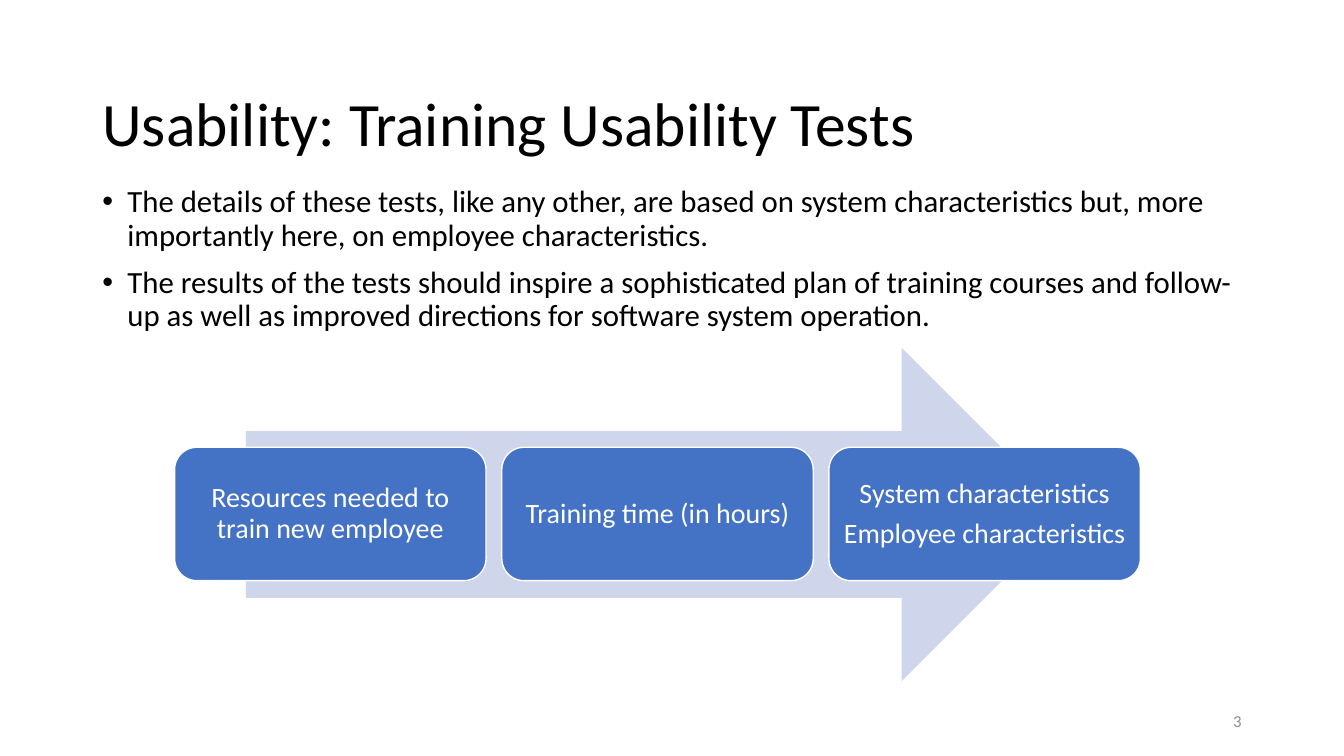
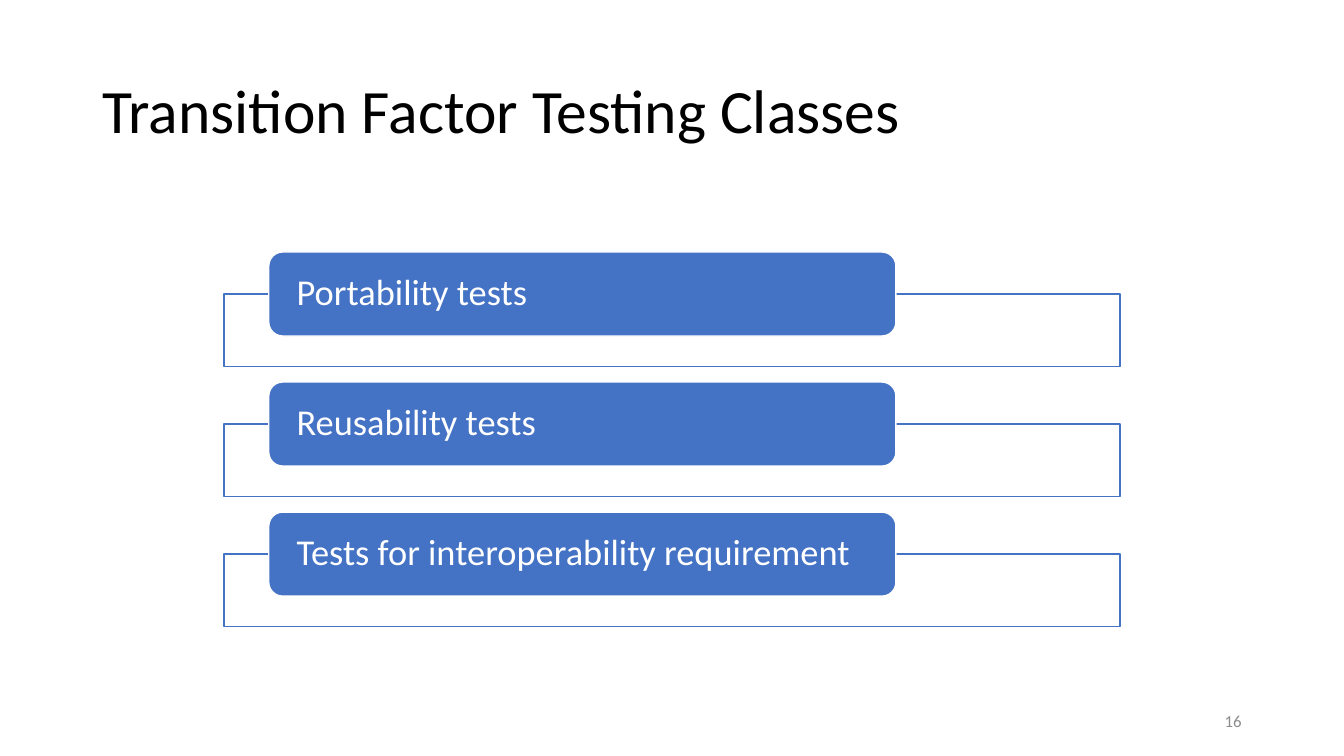
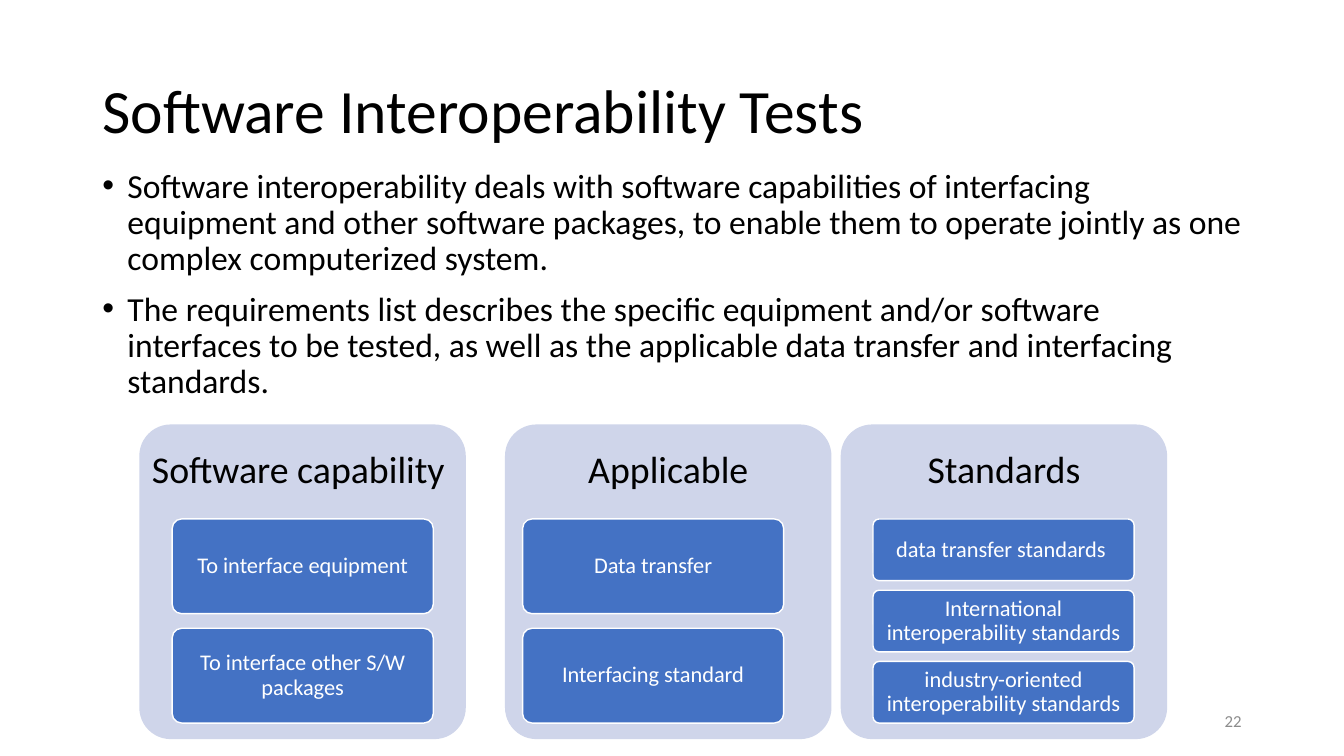
from dataclasses import dataclass

from lxml.etree import SubElement
from pptx import Presentation
from pptx.dml.color import RGBColor
from pptx.enum.shapes import MSO_SHAPE
from pptx.enum.text import MSO_ANCHOR, MSO_AUTO_SIZE, PP_ALIGN
from pptx.oxml.ns import qn
from pptx.util import Pt

# Shared look
BLACK = RGBColor(0x00, 0x00, 0x00)
WHITE = RGBColor(0xFF, 0xFF, 0xFF)
GRAY = RGBColor(0x8C, 0x8C, 0x8C)
BLUE = RGBColor(0x44, 0x72, 0xC4)
PALE_BLUE = RGBColor(0xCF, 0xD5, 0xEA)
FONT = "Calibri"
LEFT, WIDTH = 66, 828
INDENT = 18


@dataclass(frozen=True)
class Area:
    left: float
    top: float
    width: float
    height: float

    def place(self) -> tuple:
        return Pt(self.left), Pt(self.top), Pt(self.width), Pt(self.height)


@dataclass(frozen=True)
class TextStyle:
    size: float
    color: RGBColor = WHITE
    align: PP_ALIGN = PP_ALIGN.CENTER
    anchor: MSO_ANCHOR = MSO_ANCHOR.MIDDLE
    side_inset: float = 7.2
    end_inset: float = 3.6
    gap: float = 0
    line_spacing: float = 0.9
    bullet: bool = False


@dataclass(frozen=True)
class Column:
    heading: str
    left: float
    cards: tuple[str, ...]


TITLE = TextStyle(44, BLACK, PP_ALIGN.LEFT)
NUMBER = TextStyle(12, GRAY, PP_ALIGN.RIGHT, line_spacing=1.0)
STEP = TextStyle(20, side_inset=6, end_inset=6, gap=7)
LABEL = TextStyle(26, align=PP_ALIGN.LEFT, side_inset=17, end_inset=0)
HEADING = TextStyle(27, BLACK, anchor=MSO_ANCHOR.TOP, side_inset=1.5, end_inset=12.5)
CARD = TextStyle(16, side_inset=2.9, end_inset=2.2)

TITLE_AREA = Area(LEFT, 28.75, WIDTH, 104.4)
NUMBER_AREA = Area(678, 500.5, 216, 28.75)


def set_all(target, values: dict) -> None:
    for name, value in values.items():
        setattr(target, name, value)


def add_bullet(para) -> None:
    properties = para._p.get_or_add_pPr()
    properties.set("marL", str(Pt(INDENT)))
    properties.set("indent", str(-Pt(INDENT)))
    SubElement(properties, qn("a:buFont")).set("typeface", "Arial")
    SubElement(properties, qn("a:buChar")).set("char", "•")


def write(frame, lines: tuple[str, ...], style: TextStyle) -> None:
    set_all(frame, {
        "word_wrap": True,
        "auto_size": MSO_AUTO_SIZE.NONE,
        "vertical_anchor": style.anchor,
        "margin_left": Pt(style.side_inset),
        "margin_right": Pt(style.side_inset),
        "margin_top": Pt(style.end_inset),
        "margin_bottom": Pt(style.end_inset),
    })
    for index, line in enumerate(lines):
        para = frame.add_paragraph() if index else frame.paragraphs[0]
        if style.bullet:
            add_bullet(para)
        set_all(para, {
            "alignment": style.align,
            "line_spacing": style.line_spacing,
            "space_before": Pt(style.gap if index else 0),
        })
        span = para.add_run()
        span.text = line
        set_all(span.font, {"name": FONT, "size": Pt(style.size)})
        span.font.color.rgb = style.color


def add_text(page, area: Area, lines: tuple[str, ...], style: TextStyle) -> None:
    write(page.shapes.add_textbox(*area.place()).text_frame, lines, style)


def add_bullets(page, area: Area, lines: tuple[str, ...], size: float) -> None:
    add_text(page, area, lines, TextStyle(
        size, BLACK, PP_ALIGN.LEFT, MSO_ANCHOR.TOP, gap=10, bullet=True))


def add_box(page, kind: MSO_SHAPE, area: Area, fill: RGBColor,
            line: RGBColor | None = None, corner: float | None = None):
    box = page.shapes.add_shape(kind, *area.place())
    box.shadow.inherit = False
    box.fill.solid()
    box.fill.fore_color.rgb = fill
    if line is None:
        box.line.fill.background()
    else:
        box.line.color.rgb = line
        box.line.width = Pt(1)
    if corner is not None:
        box.adjustments[0] = corner
    return box


def add_card(page, area: Area, lines: tuple[str, ...], style: TextStyle,
             corner: float | None = None) -> None:
    box = add_box(page, MSO_SHAPE.ROUNDED_RECTANGLE, area, BLUE, WHITE, corner)
    write(box.text_frame, lines, style)


def add_page(deck, title: str, number: int, title_area: Area = TITLE_AREA):
    page = deck.slides.add_slide(deck.slide_layouts[5])
    holder = page.shapes.title
    names = ("left", "top", "width", "height")
    set_all(holder, dict(zip(names, title_area.place())))
    write(holder.text_frame, (title,), TITLE)
    add_text(page, NUMBER_AREA, (str(number),), NUMBER)
    return page


def build_training(deck) -> None:
    page = add_page(deck, "Usability: Training Usability Tests", 3,
                    Area(LEFT, 51.8, 648, 77.8))
    add_bullets(page, Area(LEFT, 129.6, WIDTH, 116), (
        "The details of these tests, like any other, are based on system "
        "characteristics but, more importantly here, on employee characteristics.",
        "The results of the tests should inspire a sophisticated plan of training "
        "courses and follow-up as well as improved directions for software system "
        "operation.",
    ), 22)
    # Arrow with three steps
    add_box(page, MSO_SHAPE.RIGHT_ARROW, Area(175.7, 248.4, 587.5, 238.3), PALE_BLUE)
    steps = (
        ("Resources needed to train new employee",),
        ("Training time (in hours)",),
        ("System characteristics", "Employee characteristics"),
    )
    for index, lines in enumerate(steps):
        add_card(page, Area(124.7 + 233.7 * index, 319.5, 222.5, 95.3), lines, STEP)


def build_classes(deck) -> None:
    page = add_page(deck, "Transition Factor Testing Classes", 16)
    labels = ("Portability tests", "Reusability tests",
              "Tests for interoperability requirement")
    # Labels on outlined frames
    for index, label in enumerate(labels):
        top = 180 + 92.9 * index
        add_box(page, MSO_SHAPE.RECTANGLE, Area(160, top + 30, 640, 51.7), WHITE, BLUE)
        add_card(page, Area(192, top, 448, 60), (label,), LABEL)


def build_interoperability(deck) -> None:
    page = add_page(deck, "Software Interoperability Tests", 22)
    add_bullets(page, Area(LEFT, 117.4, WIDTH, 180), (
        "Software interoperability deals with software capabilities of interfacing "
        "equipment and other software packages, to enable them to operate jointly "
        "as one complex computerized system.",
        "The requirements list describes the specific equipment and/or software "
        "interfaces to be tested, as well as the applicable data transfer and "
        "interfacing standards.",
    ), 24)
    columns = (
        Column("Software capability ", 99.5,
               ("To interface equipment", "To interface other S/W packages")),
        Column("Applicable", 360.7, ("Data transfer", "Interfacing standard")),
        Column("Standards", 600.5,
               ("data transfer standards ",
                "International interoperability standards",
                "industry-oriented interoperability standards")),
    )
    # Panels, each with a stack of cards that fills the same height
    stack_top, stack_height, gap_share = 370.7, 145.8, 0.154
    for index, column in enumerate(columns):
        panel = add_box(page, MSO_SHAPE.ROUNDED_RECTANGLE,
                        Area(column.left, 303.2, 233.2, 224.8), PALE_BLUE, corner=0.1)
        write(panel.text_frame, (column.heading,), HEADING)
        count = len(column.cards)
        height = stack_height / (count + (count - 1) * gap_share)
        for row, text in enumerate(column.cards):
            top = stack_top + row * height * (1 + gap_share)
            add_card(page, Area(123 + 250.3 * index, top, 186.5, height),
                     (text,), CARD, corner=0.1)


def main() -> None:
    deck = Presentation()
    set_all(deck, {"slide_width": Pt(960), "slide_height": Pt(540)})
    for build in (build_training, build_classes, build_interoperability):
        build(deck)
    deck.save("out.pptx")


if __name__ == "__main__":
    main()
